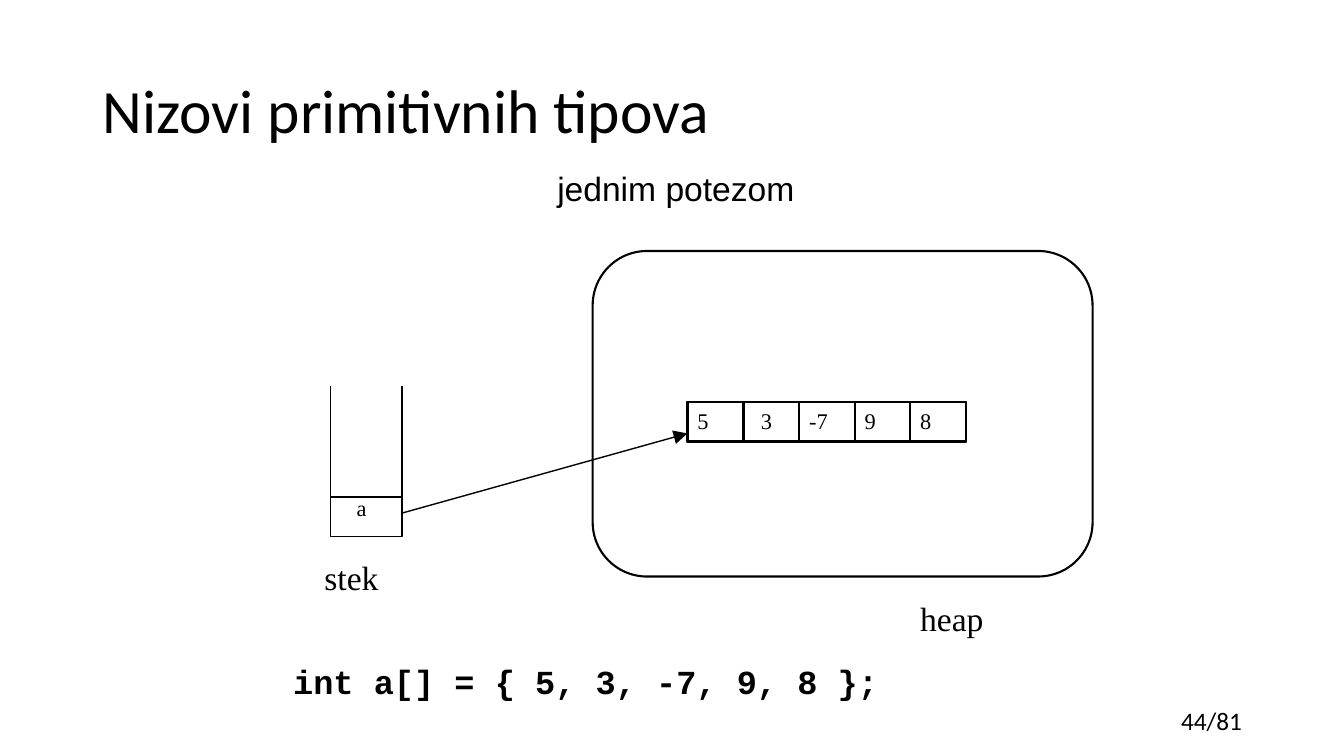
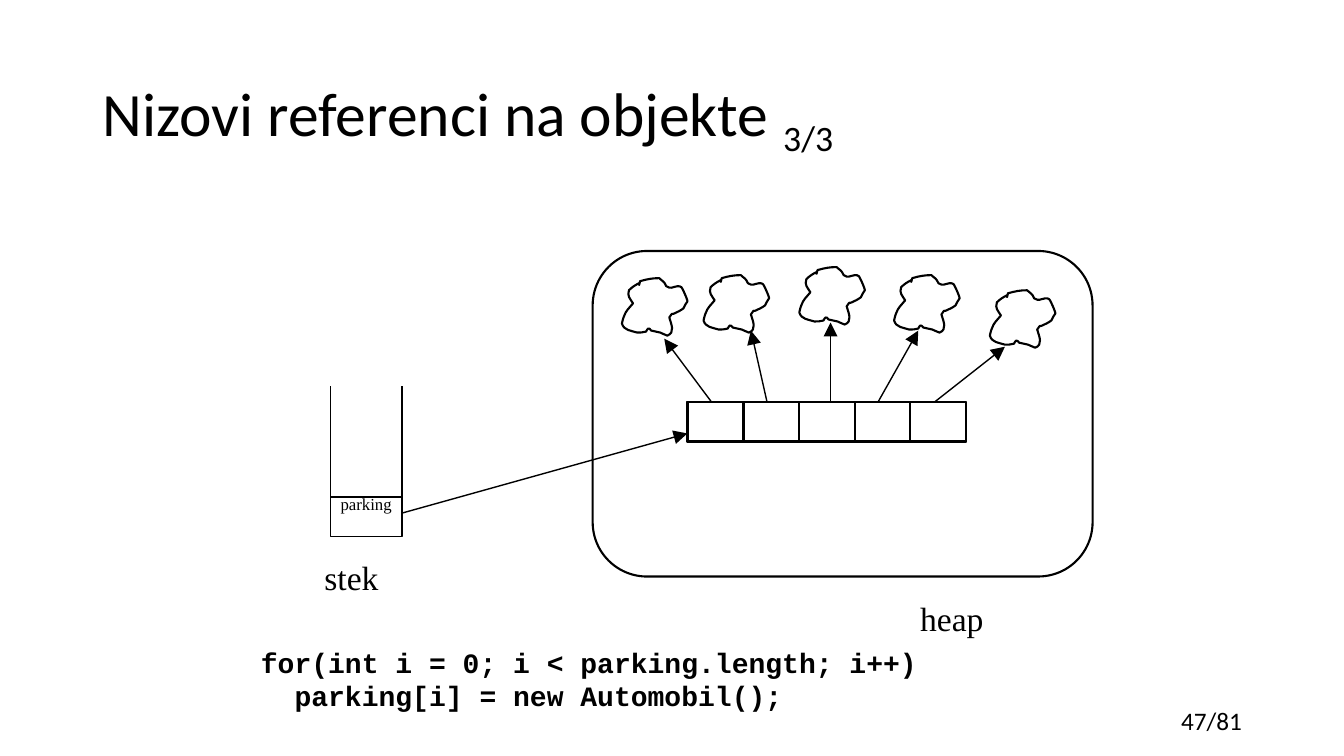
"""Two slides on how arrays lie on the stack and the heap."""
from math import ceil

from lxml import etree
from pptx import Presentation
from pptx.dml.color import RGBColor
from pptx.enum.shapes import MSO_CONNECTOR, MSO_SHAPE
from pptx.enum.text import MSO_ANCHOR, MSO_AUTO_SIZE, PP_ALIGN
from pptx.oxml.ns import qn
from pptx.util import Pt

LEFT, CENTER, RIGHT = PP_ALIGN.LEFT, PP_ALIGN.CENTER, PP_ALIGN.RIGHT
MIDDLE = MSO_ANCHOR.MIDDLE
NO_FIT, GROW = MSO_AUTO_SIZE.NONE, MSO_AUTO_SIZE.SHAPE_TO_FIT_TEXT
RECTANGLE, ROUNDED = MSO_SHAPE.RECTANGLE, MSO_SHAPE.ROUNDED_RECTANGLE
STRAIGHT = MSO_CONNECTOR.STRAIGHT

EMU_PER_PX = 9144
SLIDE_SIZE = (1333.33, 750)
TITLE_ONLY = 5
INK = "000000"
SANS, SERIF, LABEL, CODE = "Calibri", "Times New Roman", "Arial", "Courier New"
THIN, THICK = 1, 1.5

TITLE_BOX = (92, 40, 1150, 145)
PAGE_BOX = (961, 695, 281, 40)
HEAP_BOX = (588, 249, 496, 323)
STACK_LEFT, STACK_RIGHT, STACK_TOP, STACK_BOTTOM = 328, 399, 383, 532
SLOT_TOP, SLOT_HEIGHT = 493, 39
ROW_LEFT, ROW_TOP, ROW_WIDTH, ROW_HEIGHT = 682, 399, 276, 39
CELL_COUNT, CELL_WIDTH = 5, 55

CLOUD_START = (17, 5)
CLOUD_CURVES = [
    (13, 7, 10, 9, 7, 12), (5, 18, 8, 20, 11, 25), (7, 30, 4, 32, 2, 38),
    (1, 40, 0, 45, 0, 45), (2, 52, 9, 52, 15, 54), (18, 54, 21, 54, 24, 53),
    (25, 52, 25, 50, 26, 50), (27, 49, 28, 51, 29, 52), (32, 53, 35, 53, 38, 54),
    (40, 55, 45, 57, 45, 57), (53, 54, 49, 46, 47, 39), (52, 32, 47, 38, 54, 34),
    (57, 33, 61, 30, 61, 30), (62, 27, 64, 25, 65, 23), (65, 21, 60, 10, 59, 9),
    (58, 8, 57, 8, 55, 8), (49, 9, 49, 11, 44, 8), (42, 3, 40, 3, 37, 0),
    (30, 0, 25, 1, 18, 3), (17, 7, 17, 8, 17, 5),
]
CLOUDS = [(617, 276), (698, 273), (793, 265), (887, 273), (982, 288)]
REFERENCES = [
    ((706, 399), (659, 336)), ((761, 399), (745, 328)), ((824, 399), (824, 320)),
    ((871, 399), (911, 328)), ((927, 399), (997, 344)),
]
VALUES = [("5", 0, 31), ("3", 7, 31), ("-7", 0, 39), ("9", 0, 31), ("8", 0, 31)]


def px(*lengths):
    """Turn pixel lengths into EMU."""
    return [round(length * EMU_PER_PX) for length in lengths]


def rgb(color):
    """Turn a hex string into a colour."""
    return RGBColor.from_string(color)


def add_run(paragraph, text, font, size, bold=False, color=INK):
    """Add one formatted run to a paragraph."""
    run = paragraph.add_run()
    run.text = text
    run.font.name = font
    run.font.size = Pt(size)
    run.font.bold = bold
    run.font.color.rgb = rgb(color)
    return run


def add_label(slide, box, text, font, size, bold=False, align=LEFT, wrap=True):
    """Add a text box whose lines are parted by line breaks."""
    frame = slide.shapes.add_textbox(*px(*box)).text_frame
    frame.word_wrap = wrap
    frame.auto_size = GROW
    paragraph = frame.paragraphs[0]
    paragraph.alignment = align
    for index, line in enumerate(text.split("\n")):
        if index:
            paragraph.add_line_break()
        add_run(paragraph, line, font, size, bold)


def outline(shape, weight, color=INK):
    """Give a shape a plain outline without fill or shadow."""
    shape.shadow.inherit = False
    shape.fill.background()
    shape.line.color.rgb = rgb(color)
    shape.line.width = Pt(weight)


def add_box(slide, box, weight, preset=RECTANGLE):
    """Add an outlined preset shape."""
    shape = slide.shapes.add_shape(preset, *px(*box))
    outline(shape, weight)
    return shape


def add_line(slide, start, end, arrow=False, color=INK):
    """Add a straight line, with an arrowhead at its end if wanted."""
    connector = slide.shapes.add_connector(STRAIGHT, *px(*start, *end))
    connector.line.color.rgb = rgb(color)
    connector.line.width = Pt(THIN)
    properties = connector._element.spPr
    if arrow:
        etree.SubElement(properties.find(qn("a:ln")), qn("a:tailEnd"),
                         type="triangle", w="lg", len="lg")
    etree.SubElement(properties, qn("a:effectLst"))


def add_cloud(slide, left, top):
    """Add the curved outline that stands for an object."""
    start_x, start_y = CLOUD_START
    builder = slide.shapes.build_freeform(*px(left + start_x, top + start_y))
    builder.add_line_segments([px(left + curve[4], top + curve[5]) for curve in CLOUD_CURVES])
    shape = builder.convert_to_shape()
    outline(shape, THICK)
    outline_path = next(shape._element.iter(qn("a:path")))
    for segment in outline_path.findall(qn("a:lnTo")):
        outline_path.remove(segment)
    for curve in CLOUD_CURVES:
        segment = etree.SubElement(outline_path, qn("a:cubicBezTo"))
        for x, y in zip(curve[::2], curve[1::2]):
            local_x, local_y = px(x, y)
            etree.SubElement(segment, qn("a:pt"), x=str(local_x), y=str(local_y))
    etree.SubElement(outline_path, qn("a:close"))


def cell_left(index):
    """Return the left edge of an array cell."""
    return ROW_LEFT + ceil(ROW_WIDTH * index / CELL_COUNT)


def add_array(slide):
    """Add the framed row of array cells."""
    add_box(slide, (ROW_LEFT, ROW_TOP, ROW_WIDTH, ROW_HEIGHT), THICK)
    for index in range(CELL_COUNT):
        add_box(slide, (cell_left(index), ROW_TOP, CELL_WIDTH, ROW_HEIGHT), THICK)


def add_values(slide):
    """Write the values into the array cells."""
    for index, (value, shift, width) in enumerate(VALUES):
        box = (cell_left(index) + shift, ROW_TOP, width, 37)
        add_label(slide, box, value, SERIF, 16, wrap=False)


def add_memory(slide, variable, variable_box, size):
    """Add the stack with its variable, the heap with its array and the reference."""
    add_box(slide, (STACK_LEFT, SLOT_TOP, STACK_RIGHT - STACK_LEFT, SLOT_HEIGHT), THIN)
    for side in (STACK_LEFT, STACK_RIGHT):
        add_line(slide, (side, STACK_BOTTOM), (side, STACK_TOP))
    add_box(slide, HEAP_BOX, THICK, ROUNDED).adjustments[0] = 0.167
    add_label(slide, (903, 588, 150, 50), "heap", SERIF, 24)
    add_label(slide, (312, 548, 126, 50), "stek", SERIF, 24)
    add_label(slide, variable_box, variable, SERIF, size)
    add_line(slide, (STACK_RIGHT, 509), (ROW_LEFT, 430), arrow=True)
    add_array(slide)


def add_slide(presentation, title, page, part=None):
    """Add a slide with its title and page number."""
    slide = presentation.slides.add_slide(presentation.slide_layouts[TITLE_ONLY])
    add_label(slide, PAGE_BOX, page, SANS, 18, align=RIGHT)
    shape = slide.shapes.title
    shape.left, shape.top, shape.width, shape.height = px(*TITLE_BOX)
    frame = shape.text_frame
    frame.vertical_anchor = MIDDLE
    frame.word_wrap = True
    frame.auto_size = NO_FIT
    paragraph = frame.paragraphs[0]
    paragraph.alignment = LEFT
    paragraph.line_spacing = 0.9
    add_run(paragraph, title, SANS, 44)
    if part:
        run = add_run(paragraph, part, SANS, 44)
        run._r.get_or_add_rPr().set("baseline", "-25000")
    return slide


def add_primitive_slide(presentation):
    """Add the slide on arrays of primitive values."""
    slide = add_slide(presentation, "Nizovi primitivnih tipova", "44/81")
    add_memory(slide, "a", (344, 485, 47, 37), 16)
    add_values(slide)
    add_label(slide, (281, 651, 685, 50), "int a[] = { 5, 3, -7, 9, 8 };", CODE, 24, bold=True)
    add_label(slide, (328, 162, 685, 50), "jednim potezom", LABEL, 24, align=CENTER)


def add_reference_slide(presentation):
    """Add the slide on arrays of references to objects."""
    slide = add_slide(presentation, "Nizovi referenci na objekte ", "47/81", "3/3")
    add_memory(slide, "parking", (328, 485, 79, 30), 12)
    for left, top in CLOUDS:
        add_cloud(slide, left, top)
    code = "for(int i = 0; i < parking.length; i++)\n  parking[i] = new Automobil();"
    add_label(slide, (249, 635, 803, 77), code, CODE, 20, bold=True)
    for start, end in REFERENCES:
        add_line(slide, start, end, arrow=True)


def main():
    """Build and save the presentation."""
    presentation = Presentation()
    presentation.slide_width, presentation.slide_height = px(*SLIDE_SIZE)
    add_primitive_slide(presentation)
    add_reference_slide(presentation)
    presentation.save("out.pptx")


if __name__ == "__main__":
    main()
